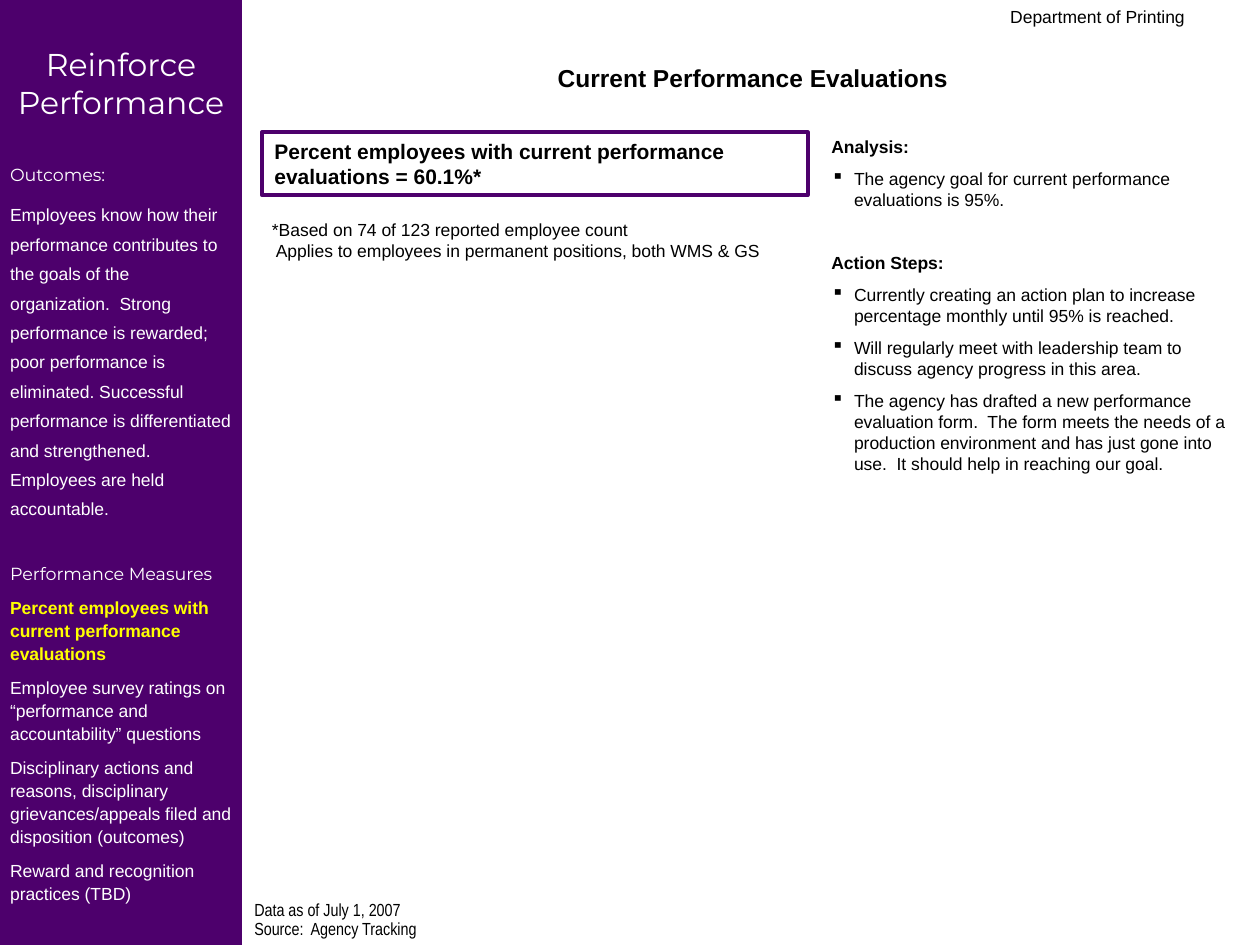
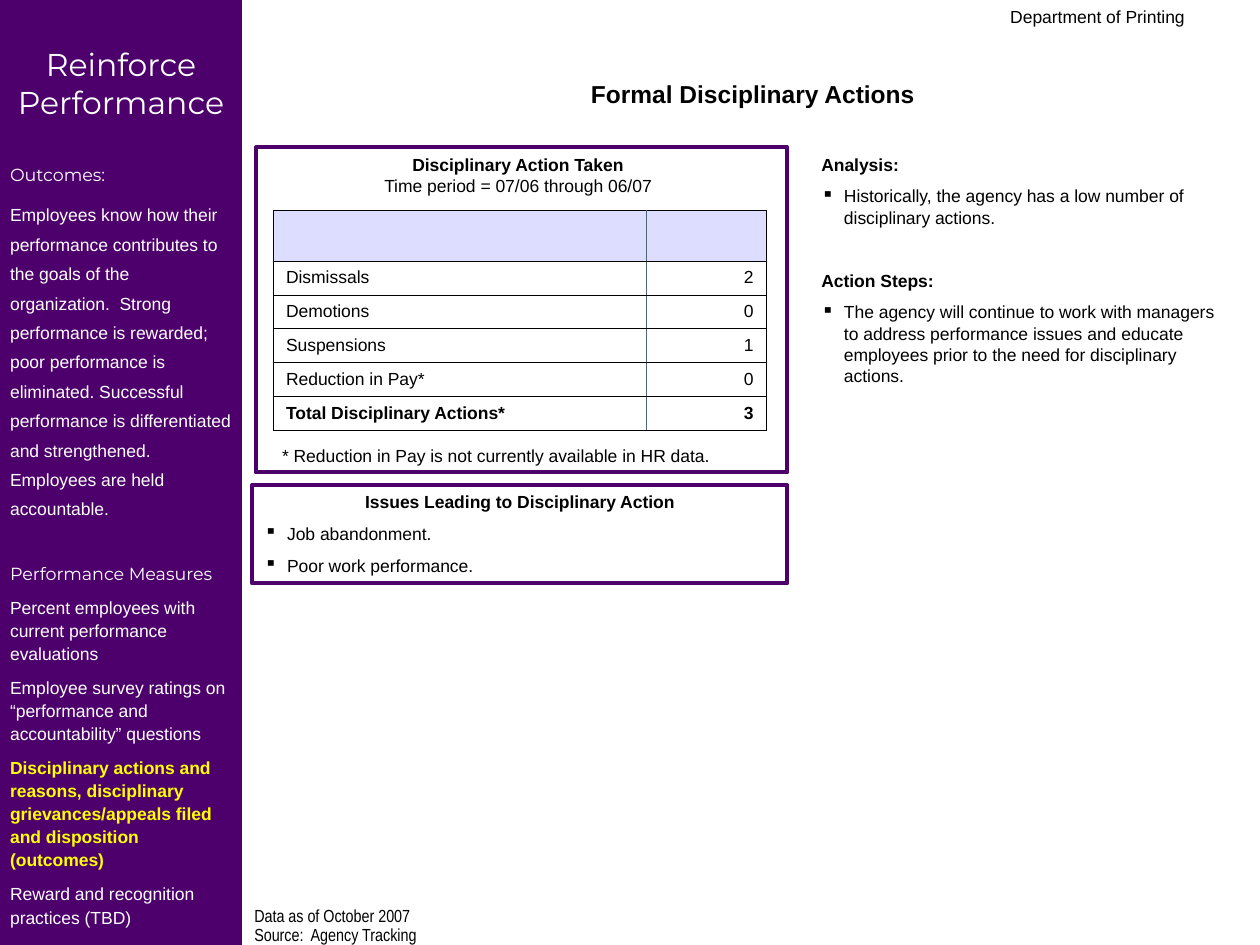
from dataclasses import dataclass

from lxml import etree
from pptx import Presentation
from pptx.dml.color import RGBColor
from pptx.enum.shapes import MSO_SHAPE
from pptx.enum.text import MSO_ANCHOR, PP_ALIGN
from pptx.oxml.ns import qn
from pptx.util import Inches, Pt

LEFT, CENTER, RIGHT = PP_ALIGN.LEFT, PP_ALIGN.CENTER, PP_ALIGN.RIGHT
TOP, MIDDLE = MSO_ANCHOR.TOP, MSO_ANCHOR.MIDDLE
RECTANGLE = MSO_SHAPE.RECTANGLE


@dataclass(frozen=True)
class Theme:
    purple: str = "4D006C"
    black: str = "000000"
    white: str = "FFFFFF"
    highlight: str = "FFFF00"
    header_fill: str = "DDDDFF"
    divider: str = "4D6776"
    body_font: str = "Arial"
    narrow_font: str = "Arial Narrow"
    display_font: str = "Montserrat"
    body: float = 10
    callout: float = 12
    title: float = 14
    banner: float = 18
    gap: float = 6.2
    section_gap: float = 24
    frame_line: float = 2.25
    grid_line: float = 0.45
    hang: float = 0.18


THEME = Theme()

PLAIN = {"name": THEME.body_font, "size": THEME.body, "color": THEME.black,
         "bold": False, "align": LEFT, "before": 0, "spacing": None, "bullet": False}
SPACED = PLAIN | {"before": THEME.gap}
BULLET = SPACED | {"bullet": True}
HEADING = PLAIN | {"bold": True}
SECTION = HEADING | {"before": THEME.section_gap}
CENTERED = PLAIN | {"align": CENTER}
CENTERED_HEADING = HEADING | {"align": CENTER}
RIGHT_ALIGNED = PLAIN | {"align": RIGHT}
CALLOUT = HEADING | {"size": THEME.callout}
TITLE = CENTERED_HEADING | {"size": THEME.title}
SOURCE = PLAIN | {"name": THEME.narrow_font, "spacing": 0.7}
BANNER = CENTERED | {"name": THEME.display_font, "size": THEME.banner, "color": THEME.white}
SIDE_HEADING = PLAIN | {"name": THEME.display_font, "color": THEME.white, "before": 24.6}
OUTCOME = SPACED | {"color": THEME.white, "spacing": 1.4}
MEASURE = OUTCOME | {"spacing": 1.1}
CURRENT_MEASURE = MEASURE | {"color": THEME.highlight, "bold": True}

OUTCOMES = (
    "Employees know how their performance contributes to the goals of the organization.  "
    "Strong performance is rewarded; poor performance is eliminated. Successful performance "
    "is differentiated and strengthened. Employees are held accountable."
)
MEASURES = [
    "Percent employees with current performance evaluations",
    "Employee survey ratings on “performance and accountability” questions",
    "Disciplinary actions and reasons, disciplinary grievances/appeals filed and "
    "disposition (outcomes)",
    "Reward and recognition practices (TBD)",
]
ACTION_COUNTS = [
    ("", ""),
    ("Dismissals", "2"),
    ("Demotions", "0"),
    ("Suspensions", "1"),
    ("Reduction in Pay*", "0"),
    ("Total Disciplinary Actions*", "3"),
]


def color(value):
    return RGBColor.from_string(value)


def add_bullet(para):
    properties = para._p.get_or_add_pPr()
    properties.set("marL", str(Inches(THEME.hang)))
    properties.set("indent", str(-Inches(THEME.hang)))
    bullet_color = etree.SubElement(properties, qn("a:buClr"))
    etree.SubElement(bullet_color, qn("a:srgbClr"), val=THEME.black)
    etree.SubElement(properties, qn("a:buChar"), char="▪")


def write_lines(frame, lines):
    """Fill a text frame with (text, style) paragraphs."""
    for index, (text, style) in enumerate(lines):
        para = frame.paragraphs[0] if index == 0 else frame.add_paragraph()
        if style["bullet"]:
            add_bullet(para)
        layout = {"alignment": style["align"], "line_spacing": style["spacing"],
                  "space_before": Pt(style["before"] if index else 0)}
        for key, value in layout.items():
            setattr(para, key, value)
        span = para.add_run()
        span.text = text
        letters = {"name": style["name"], "size": Pt(style["size"]), "bold": style["bold"]}
        for key, value in letters.items():
            setattr(span.font, key, value)
        span.font.color.rgb = color(style["color"])


def add_text(page, place, lines):
    box = page.shapes.add_textbox(*map(Inches, place))
    box.text_frame.word_wrap = True
    write_lines(box.text_frame, lines)


def add_panel(page, place, lines=(), fill=None, line=None):
    panel = page.shapes.add_shape(RECTANGLE, *map(Inches, place))
    panel.shadow.inherit = False
    if fill:
        panel.fill.solid()
        panel.fill.fore_color.rgb = color(fill)
    else:
        panel.fill.background()
    if line:
        panel.line.color.rgb = color(line)
        panel.line.width = Pt(THEME.frame_line)
    else:
        panel.line.fill.background()
    panel.text_frame.word_wrap = True
    panel.text_frame.vertical_anchor = TOP
    write_lines(panel.text_frame, lines)
    return panel


def add_sidebar(page, current):
    """Draw the purple band, with the measure at index current highlighted."""
    lines = [("Reinforce Performance", BANNER), ("Outcomes:", SIDE_HEADING),
             (OUTCOMES, OUTCOME), ("Performance Measures", SIDE_HEADING)]
    lines += [(text, CURRENT_MEASURE if index == current else MEASURE)
              for index, text in enumerate(MEASURES)]
    frame = add_panel(page, (0, 0, 1.92, 7.58), lines, fill=THEME.purple).text_frame
    margins = {"margin_left": 0.08, "margin_right": 0.08, "margin_top": 0.36,
               "margin_bottom": 0.04}
    for key, value in margins.items():
        setattr(frame, key, Inches(value))


def add_notes_column(page, place, analysis, steps):
    lines = [("Analysis:", HEADING)] + [(text, BULLET) for text in analysis]
    lines += [("Action Steps:", SECTION)] + [(text, BULLET) for text in steps]
    add_text(page, place, lines)


def add_base_page(deck, title, title_top, current, date, date_top):
    page = deck.slides.add_slide(deck.slide_layouts[6])
    add_sidebar(page, current)
    add_text(page, (4.5, 0, 5, 0.25), [("Department of Printing", RIGHT_ALIGNED)])
    add_text(page, (2, title_top, 7.95, 0.34), [(title, TITLE)])
    add_text(page, (1.92, date_top, 4.83, 0.37), [
        (f"Data as of {date}", SOURCE),
        ("Source:  Agency Tracking", SOURCE | {"before": 2.5}),
    ])
    return page


def add_borders(cell, sides):
    properties = cell._tc.get_or_add_tcPr()
    for side, value in sides.items():
        line = etree.SubElement(properties, qn(f"a:ln{side}"), w=str(Pt(THEME.grid_line)))
        fill = etree.SubElement(line, qn("a:solidFill"))
        etree.SubElement(fill, qn("a:srgbClr"), val=value)


def add_count_table(page, left, top, rows):
    widths, heights = [2.96, 0.95], [0.4] + [0.27] * (len(rows) - 1)
    place = (left, top, sum(widths), sum(heights))
    table = page.shapes.add_table(len(rows), len(widths), *map(Inches, place)).table
    table.first_row = table.horz_banding = False
    for column, width in zip(table.columns, widths):
        column.width = Inches(width)
    for row, height in zip(table.rows, heights):
        row.height = Inches(height)
    outer, inner = THEME.black, THEME.divider
    for row_index, values in enumerate(rows):
        weight = {"bold": row_index == len(rows) - 1}
        for column_index, text in enumerate(values):
            cell = table.cell(row_index, column_index)
            first = column_index == 0
            add_borders(cell, {"L": outer if first else inner,
                               "R": inner if first else outer, "T": outer, "B": outer})
            cell.fill.solid()
            cell.fill.fore_color.rgb = color(THEME.white if row_index else THEME.header_fill)
            cell.vertical_anchor = MIDDLE
            if text:
                write_lines(cell.text_frame,
                            [(text, (PLAIN if first else RIGHT_ALIGNED) | weight)])


def build_evaluations(deck):
    page = add_base_page(deck, "Current Performance Evaluations", 0.45, 0,
                         "July 1, 2007", 7.13)
    add_panel(page, (2.08, 1.05, 4.33, 0.5), [
        ("Percent employees with current performance evaluations = 60.1%*", CALLOUT),
    ], line=THEME.purple)
    add_text(page, (2.06, 1.69, 4.15, 0.44), [
        ("*Based on 74 of 123 reported employee count", PLAIN),
        (" Applies to employees in permanent positions, both WMS & GS", PLAIN),
    ])
    add_notes_column(
        page, (6.5, 1.03, 3.33, 3.55),
        ["The agency goal for current performance evaluations is 95%."],
        ["Currently creating an action plan to increase percentage monthly until 95% is reached.",
         "Will regularly meet with leadership team to discuss agency progress in this area.",
         "The agency has drafted a new performance evaluation form.  The form meets the needs "
         "of a production environment and has just gone into use.  It should help in reaching "
         "our goal."])


def build_disciplinary_actions(deck):
    page = add_base_page(deck, "Formal Disciplinary Actions", 0.58, 2,
                         "October 2007", 7.18)
    add_panel(page, (2.03, 1.17, 4.22, 2.58), line=THEME.purple)
    add_text(page, (2, 1.17, 4.22, 0.44), [
        ("Disciplinary Action Taken", CENTERED_HEADING),
        ("Time period = 07/06 through 06/07", CENTERED),
    ])
    add_count_table(page, 2.17, 1.67, ACTION_COUNTS)
    add_text(page, (2.14, 3.48, 4.33, 0.27), [
        ("* Reduction in Pay is not currently available in HR data.", PLAIN),
    ])
    add_panel(page, (2, 3.85, 4.25, 0.78), [
        ("Issues Leading to Disciplinary Action", CENTERED_HEADING),
        ("Job abandonment.", BULLET),
        ("Poor work performance.", BULLET),
    ], line=THEME.purple)
    add_notes_column(
        page, (6.42, 1.17, 3.44, 2.97),
        ["Historically, the agency has a low number of disciplinary actions."],
        ["The agency will continue to work with managers to address performance issues and "
         "educate employees prior to the need for disciplinary actions."])


def main():
    deck = Presentation()
    deck.slide_width, deck.slide_height = Inches(10), Inches(7.5)
    build_evaluations(deck)
    build_disciplinary_actions(deck)
    deck.save("out.pptx")


if __name__ == "__main__":
    main()
